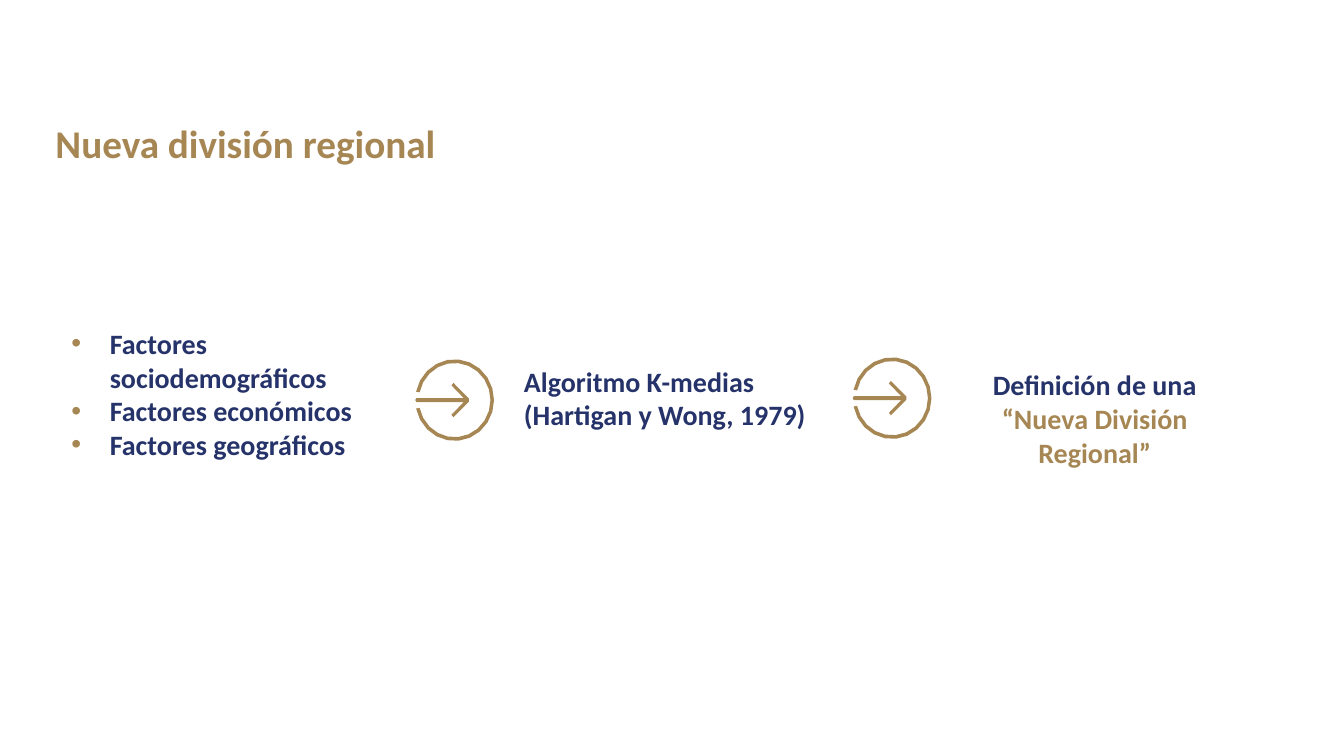
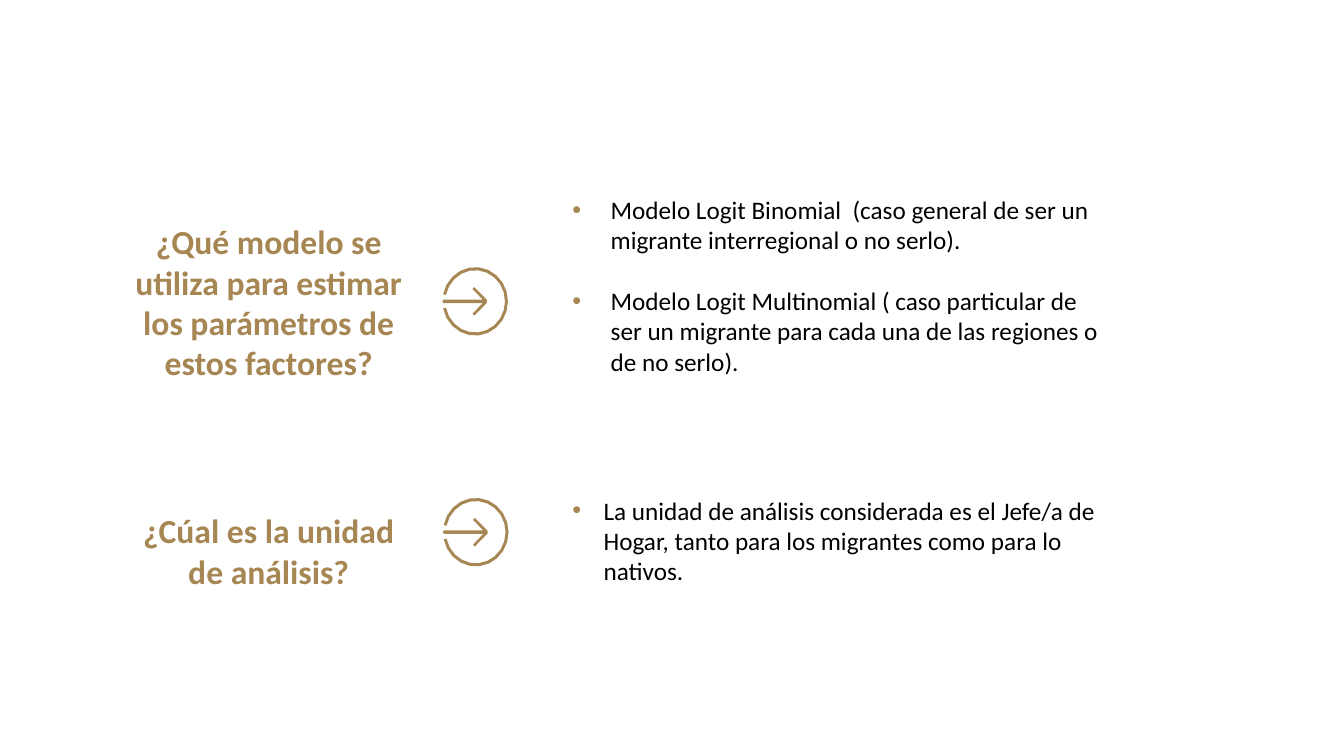
from dataclasses import dataclass
from math import cos, pi, sin

from lxml.etree import SubElement
from pptx import Presentation
from pptx.dml.color import RGBColor
from pptx.enum.text import MSO_ANCHOR, MSO_AUTO_SIZE, PP_ALIGN
from pptx.oxml.ns import qn
from pptx.util import Inches, Pt

COLORS = {"gold": "A68653", "navy": "25336A", "black": "000000"}
FONT = "Calibri"
WIDTH, HEIGHT = Inches(13.33), Inches(7.5)
TITLE_ONLY, BLANK = 5, 6

# Arrow icon, in shares of its outer radius
RING_THICKNESS = 0.09
RING_GAP = pi / 15
ARC_STEPS = 20
ARROW_TAIL = (-1, 0)
ARROW_UPPER_EDGE = [(-0.97, -0.05), (0.23, -0.05), (-0.08, -0.36),
                    (-0.03, -0.42), (0.36, -0.04)]

Points = list[tuple[float, float]]


@dataclass(frozen=True)
class Area:
    """Left, top, width and height in percent of the slide."""
    left: float
    top: float
    width: float
    height: float


@dataclass(frozen=True)
class Style:
    size: float
    color: str
    bold: bool = True
    align: PP_ALIGN = PP_ALIGN.LEFT
    indent: float = 0
    gap: float = 0


@dataclass(frozen=True)
class Line:
    """A paragraph with its own colour or right margin, where it has one."""
    text: str
    color: str = ""
    right_margin: float = 0


@dataclass(frozen=True)
class TextBlock:
    area: Area
    lines: tuple[Line, ...]
    style: Style


@dataclass(frozen=True)
class ArrowIcon:
    """Centre and radii in percent of the slide."""
    x: float
    y: float
    radius_x: float
    radius_y: float


TITLE = Style(28, "gold")
FACTOR = Style(20, "navy", indent=0.38)
METHOD = Style(20, "navy")
RESULT = Style(20, "navy", align=PP_ALIGN.CENTER)
QUESTION = Style(24, "gold", align=PP_ALIGN.CENTER)
MODEL = Style(18, "black", bold=False, indent=0.38, gap=22)
UNIT = Style(18, "black", bold=False, indent=0.31)

LARGE_RADII = (2.93, 5.4)
SMALL_RADII = (2.44, 4.53)

TITLE_AREA = Area(3.38, 15.07, 63.38, 7.6)
DIVISION_BLOCKS = [
    TextBlock(Area(69.6, 48, 24.68, 10.27),
              (Line("Definición de una", right_margin=0.13),
               Line("“Nueva División Regional”", color="gold")), RESULT),
    TextBlock(Area(4.58, 42.53, 27.3, 19.33),
              (Line("Factores sociodemográficos"), Line("Factores económicos"),
               Line("Factores geográficos")), FACTOR),
    TextBlock(Area(38.25, 47.5, 23.93, 14.4),
              (Line("Algoritmo K-medias (Hartigan y Wong, 1979)"),), METHOD),
]
DIVISION_ARROWS = [ArrowIcon(33.83, 52.93, *LARGE_RADII), ArrowIcon(66.38, 52.67, *LARGE_RADII)]

MODEL_BLOCKS = [
    TextBlock(Area(8.48, 28.62, 23.03, 22.93),
              (Line("¿Qué modelo se utiliza para estimar los parámetros de estos factores?"),),
              QUESTION),
    TextBlock(Area(41.85, 25.04, 41.48, 29.6),
              (Line("Modelo Logit Binomial  (caso general de ser un migrante interregional o no serlo)."),
               Line("Modelo Logit Multinomial ( caso particular de ser un migrante para cada una "
                    "de las regiones o de no serlo).")), MODEL),
    TextBlock(Area(8.48, 66.84, 23.03, 12.13), (Line("¿Cúal es la unidad de análisis?"),), QUESTION),
    TextBlock(Area(41.85, 64.84, 41.48, 17.47),
              (Line("La unidad de análisis considerada es el Jefe/a de Hogar, tanto para los "
                    "migrantes como para lo nativos."),), UNIT),
]
MODEL_ARROWS = [ArrowIcon(35.36, 39.87, *SMALL_RADII), ArrowIcon(35.4, 70.4, *SMALL_RADII)]


def across(percent: float) -> int:
    return round(WIDTH * percent / 100)


def down(percent: float) -> int:
    return round(HEIGHT * percent / 100)


def place(area: Area) -> tuple[int, int, int, int]:
    return across(area.left), down(area.top), across(area.width), down(area.height)


def rgb(name: str) -> RGBColor:
    return RGBColor.from_string(COLORS[name])


def add_bullet(para, *, indent: float) -> None:
    properties = para._p.get_or_add_pPr()
    properties.set("marL", str(Inches(indent)))
    properties.set("indent", str(-Inches(indent)))
    bullet_color = SubElement(properties, qn("a:buClr"))
    SubElement(bullet_color, qn("a:srgbClr"), val=COLORS["gold"])
    SubElement(properties, qn("a:buFont"), typeface="Arial")
    SubElement(properties, qn("a:buChar"), char="•")


def write_line(para, line: Line, *, style: Style) -> None:
    if style.indent:
        add_bullet(para, indent=style.indent)
    if line.right_margin:
        para._p.get_or_add_pPr().set("marR", str(Inches(line.right_margin)))
    para.alignment = style.align
    span = para.add_run()
    span.text = line.text
    span.font.name = FONT
    span.font.size = Pt(style.size)
    span.font.bold = style.bold
    span.font.color.rgb = rgb(line.color or style.color)


def write_text(frame, lines: tuple[Line, ...], *, style: Style) -> None:
    frame.word_wrap = True
    frame.auto_size = MSO_AUTO_SIZE.NONE
    frame.vertical_anchor = MSO_ANCHOR.TOP
    for index, line in enumerate(lines):
        para = frame.add_paragraph() if index else frame.paragraphs[0]
        write_line(para, line, style=style)
        if index and style.gap:
            para.space_before = Pt(style.gap)


def arc(radius: float, start: float, end: float) -> Points:
    angles = [start + (end - start) * step / ARC_STEPS for step in range(ARC_STEPS + 1)]
    return [(radius * cos(angle), radius * sin(angle)) for angle in angles]


def ring_outline() -> Points:
    """Ring open on its left side."""
    start, end = RING_GAP - pi, pi - RING_GAP
    return arc(1, start, end) + arc(1 - RING_THICKNESS, end, start)


def arrow_outline() -> Points:
    lower_edge = [(x, -y) for x, y in reversed(ARROW_UPPER_EDGE)]
    return [ARROW_TAIL, *ARROW_UPPER_EDGE, *lower_edge]


def draw_arrow_icon(page, icon: ArrowIcon) -> None:
    ring, arrow = (
        [(across(icon.x + x * icon.radius_x), down(icon.y + y * icon.radius_y)) for x, y in outline]
        for outline in (ring_outline(), arrow_outline())
    )
    builder = page.shapes.build_freeform(*ring[0])
    builder.add_line_segments(ring[1:], close=True)
    builder.move_to(*arrow[0])
    builder.add_line_segments(arrow[1:], close=True)
    shape = builder.convert_to_shape()
    shape.shadow.inherit = False
    shape.fill.solid()
    shape.fill.fore_color.rgb = rgb("gold")
    shape.line.fill.background()


def draw_title(page, text: str) -> None:
    title = page.shapes.title
    title.left, title.top, title.width, title.height = place(TITLE_AREA)
    write_text(title.text_frame, (Line(text),), style=TITLE)


def draw_content(page, blocks: list[TextBlock], arrows: list[ArrowIcon]) -> None:
    for icon in arrows:
        draw_arrow_icon(page, icon)
    for block in blocks:
        box = page.shapes.add_textbox(*place(block.area))
        write_text(box.text_frame, block.lines, style=block.style)


def main() -> None:
    deck = Presentation()
    deck.slide_width, deck.slide_height = WIDTH, HEIGHT

    division = deck.slides.add_slide(deck.slide_layouts[TITLE_ONLY])
    draw_title(division, "Nueva división regional")
    draw_content(division, DIVISION_BLOCKS, DIVISION_ARROWS)

    models = deck.slides.add_slide(deck.slide_layouts[BLANK])
    draw_content(models, MODEL_BLOCKS, MODEL_ARROWS)

    deck.save("out.pptx")


if __name__ == "__main__":
    main()
